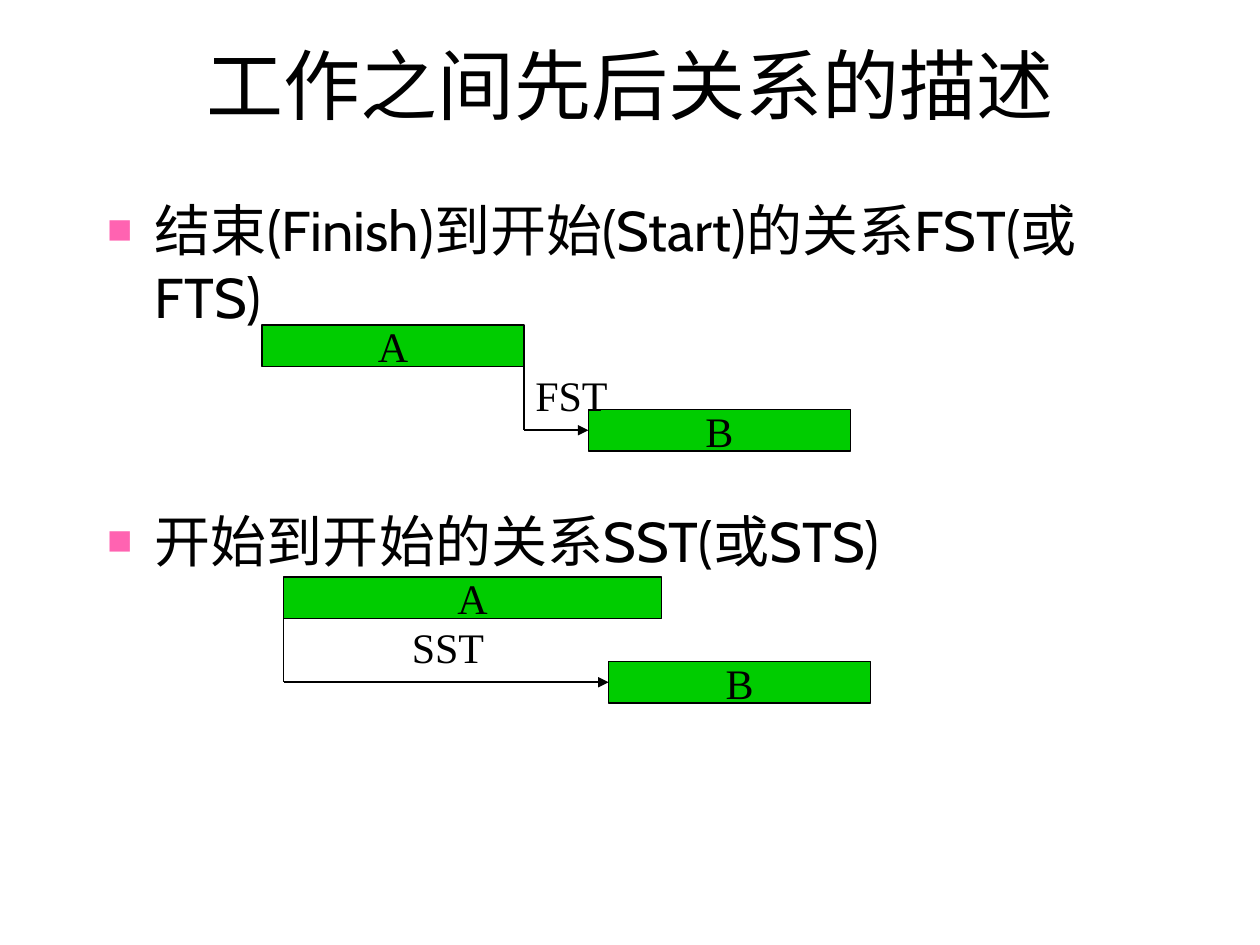
"""Build a slide describing finish-to-start and start-to-start task relations."""
from lxml.etree import SubElement
from pptx import Presentation
from pptx.dml.color import RGBColor
from pptx.enum.shapes import MSO_CONNECTOR as CONNECTOR, MSO_SHAPE as SHAPE
from pptx.enum.text import MSO_ANCHOR as ANCHOR, MSO_AUTO_SIZE as AUTO_SIZE, PP_ALIGN as ALIGN
from pptx.oxml.ns import qn
from pptx.util import Inches, Pt

COLORS = {"text": "000000", "bar": "00CC00", "bullet": "FF63B1"}
RIGHT_SIDE, LEFT_SIDE = 3, 1
BAR_HEIGHT = 0.33
BAR_STEP = 0.67


def add_text(paragraph, text, size, font_name):
    run = paragraph.add_run()
    run.text = text
    run.font.size = Pt(size)
    run.font.name = font_name
    run.font.color.rgb = RGBColor.from_string(COLORS["text"])


def add_line(shapes, start, end):
    line = shapes.add_connector(CONNECTOR.STRAIGHT, *[Inches(value) for value in start + end])
    line.line.color.rgb = RGBColor.from_string(COLORS["text"])
    line.line.width = Pt(1)
    SubElement(line._element.spPr, qn("a:effectLst"))
    return line


presentation = Presentation()
presentation.slide_width = Inches(10)
presentation.slide_height = Inches(7.5)
slide = presentation.slides.add_slide(presentation.slide_layouts[1])
shapes = slide.shapes

title = shapes.title
title.left, title.top, title.width, title.height = [Inches(v) for v in (0.75, 0, 8.5, 1.33)]
title.text_frame.auto_size = AUTO_SIZE.NONE
title.text_frame.vertical_anchor = ANCHOR.MIDDLE
title_paragraph = title.text_frame.paragraphs[0]
title_paragraph.alignment = ALIGN.CENTER
add_text(title_paragraph, "工作之间先后关系的描述", 44, "Cabin")

body = slide.placeholders[1]
body.left, body.top, body.width, body.height = [Inches(v) for v in (0.75, 1.5, 8.5, 5.42)]
body.text_frame.auto_size = AUTO_SIZE.NONE
relations = [
    ("结束(Finish)到开始(Start)的关系FST(或FTS)", 0),
    ("开始到开始的关系SST(或STS)", 101),
]
for index, (text, space_before) in enumerate(relations):
    paragraph = body.text_frame.paragraphs[0] if index == 0 else body.text_frame.add_paragraph()
    paragraph.space_before = Pt(space_before)
    properties = paragraph._p.get_or_add_pPr()
    properties.set("marL", str(Inches(0.38)))
    properties.set("indent", str(Inches(-0.38)))
    bullet_color = SubElement(properties, qn("a:buClr"))
    SubElement(bullet_color, qn("a:srgbClr"), val=COLORS["bullet"])
    SubElement(properties, qn("a:buSzPct"), val="75000")
    SubElement(properties, qn("a:buChar"), char="■")
    add_text(paragraph, text, 32, "Cabin")

diagrams = [
    ("FST", 2.58, (2.08, 2.08), (4.67, 2.08), RIGHT_SIDE, 4.15),
    ("SST", 4.58, (2.25, 3), (4.83, 2.08), LEFT_SIDE, 3.17),
]
for label, top, bar_a, bar_b, start_side, label_left in diagrams:
    bars = []
    for row, (name, (left, width)) in enumerate([("A", bar_a), ("B", bar_b)]):
        bar = shapes.add_shape(
            SHAPE.RECTANGLE, Inches(left), Inches(top + row * BAR_STEP),
            Inches(width), Inches(BAR_HEIGHT))
        bar.shadow.inherit = False
        bar.fill.solid()
        bar.fill.fore_color.rgb = RGBColor.from_string(COLORS["bar"])
        bar.line.color.rgb = RGBColor.from_string(COLORS["text"])
        bar.line.width = Pt(1)
        bar.text_frame.word_wrap = False
        bar.text_frame.vertical_anchor = ANCHOR.MIDDLE
        paragraph = bar.text_frame.paragraphs[0]
        paragraph.alignment = ALIGN.CENTER
        add_text(paragraph, name, 24, "Times New Roman")
        bars.append(bar)

    corner_x = bar_a[0] + (bar_a[1] if start_side == RIGHT_SIDE else 0)
    start_y = top + BAR_HEIGHT / 2
    corner = (corner_x, start_y + BAR_STEP)
    drop = add_line(shapes, (corner_x, start_y), corner)
    drop.begin_connect(bars[0], start_side)
    arrow = add_line(shapes, corner, (bar_b[0], corner[1]))
    arrow.end_connect(bars[1], LEFT_SIDE)
    SubElement(arrow.line._get_or_add_ln(), qn("a:tailEnd"), type="triangle")

    label_box = shapes.add_textbox(
        Inches(label_left), Inches(top + 0.3), Inches(0.8), Inches(0.5))
    label_box.text_frame.word_wrap = False
    label_box.text_frame.auto_size = AUTO_SIZE.NONE
    label_box.text_frame.margin_right = 0
    add_text(label_box.text_frame.paragraphs[0], label, 24, "Times New Roman")

presentation.save("out.pptx")
